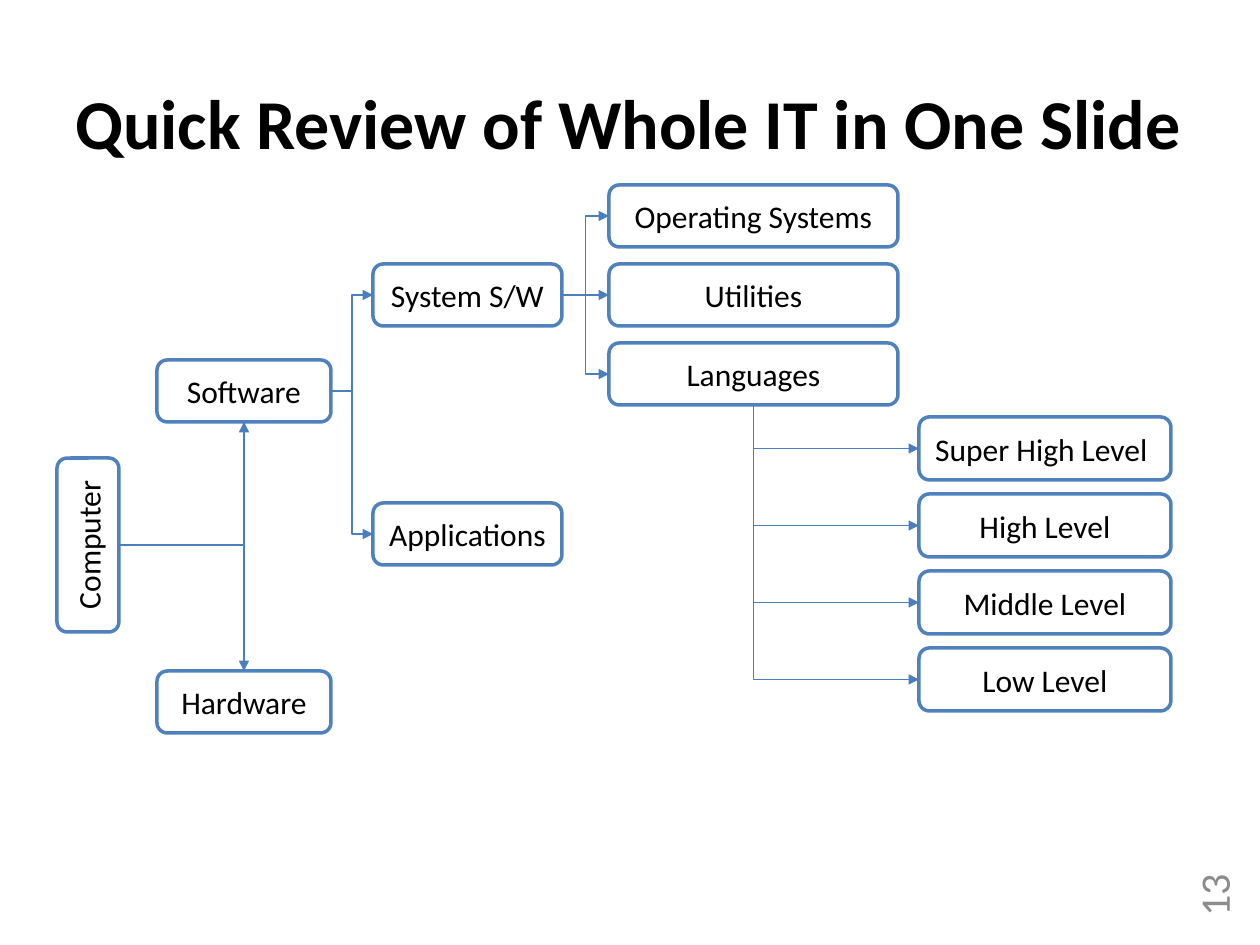
from dataclasses import dataclass

from lxml.etree import SubElement
from pptx import Presentation
from pptx.dml.color import RGBColor
from pptx.enum.shapes import MSO_CONNECTOR, MSO_SHAPE
from pptx.enum.text import MSO_ANCHOR, MSO_AUTO_SIZE, PP_ALIGN
from pptx.oxml.ns import qn
from pptx.util import Emu, Pt

PX_PER_INCH = 126
FONT = "Calibri"
BLACK, WHITE, GREY = "000000", "FFFFFF", "8C8C8C"
BOX_BLUE, ARROW_BLUE = "4F81BD", "4B7EBC"
Point = tuple[float, float]


@dataclass(frozen=True)
class Node:
    label: str
    left: int
    top: int
    width: int
    height: int = 62
    rotation: int = 0

    @property
    def center(self) -> Point:
        return self.left + self.width / 2, self.top + self.height / 2

    def side(self, dx: int, dy: int) -> Point:
        """Middle of the side that lies in direction (dx, dy) as seen."""
        width, height = self.width, self.height
        if self.rotation:
            width, height = height, width
        x, y = self.center
        return x + dx * width / 2, y + dy * height / 2


def px(length: float) -> Emu:
    return Emu(round(length * 914400 / PX_PER_INCH))


def color(hex_value: str) -> RGBColor:
    return RGBColor.from_string(hex_value)


def write(frame, text: str, size: int, hex_value: str, align: PP_ALIGN, bold: bool = False) -> None:
    paragraph = frame.paragraphs[0]
    paragraph.alignment = align
    run = paragraph.add_run()
    run.text = text
    run.font.name = FONT
    run.font.size = Pt(size)
    run.font.bold = bold
    run.font.color.rgb = color(hex_value)


def draw_node(slide, node: Node) -> None:
    box = slide.shapes.add_shape(MSO_SHAPE.ROUNDED_RECTANGLE, px(node.left), px(node.top),
                                 px(node.width), px(node.height))
    box.rotation = node.rotation
    box.shadow.inherit = False
    box.fill.solid()
    box.fill.fore_color.rgb = color(WHITE)
    box.line.color.rgb = color(BOX_BLUE)
    box.line.width = Pt(2)
    box.text_frame.vertical_anchor = MSO_ANCHOR.MIDDLE
    write(box.text_frame, node.label, 18, BLACK, PP_ALIGN.CENTER)


def draw_arrow(slide, start: Point, end: Point, kind: MSO_CONNECTOR = MSO_CONNECTOR.ELBOW):
    arrow = slide.shapes.add_connector(kind, *map(px, start + end))
    arrow.line.color.rgb = color(ARROW_BLUE)
    arrow.line.width = Pt(0.75)
    outline = arrow.line._get_or_add_ln()
    SubElement(outline, qn("a:tailEnd"), type="triangle")
    SubElement(arrow._element.spPr, qn("a:effectLst"))
    return arrow


def draw_corner(slide, start: Point, end: Point, down_first: bool = False) -> None:
    """Arrow with a single bend; down_first turns it to leave vertically."""
    if down_first:
        x, y = (start[0] + end[0]) / 2, (start[1] + end[1]) / 2
        half_run, half_drop = (end[0] - start[0]) / 2, (end[1] - start[1]) / 2
        start, end = (x + half_drop, y - half_run), (x - half_drop, y + half_run)
    properties = draw_arrow(slide, start, end)._element.spPr
    properties.find(qn("a:prstGeom")).set("prst", "bentConnector2")
    if down_first:
        properties.find(qn("a:xfrm")).set("rot", str(270 * 60000))


def column(labels: list[str], left: int, top: int, width: int, height: int, step: int) -> list[Node]:
    return [Node(label, left, top + i * step, width, height) for i, label in enumerate(labels)]


def main() -> None:
    presentation = Presentation()
    presentation.slide_width, presentation.slide_height = px(1260), px(945)
    slide = presentation.slides.add_slide(presentation.slide_layouts[6])

    # Page number, reading upwards
    number = slide.shapes.add_textbox(px(1171), px(877), px(84), px(53))
    number.rotation = 270
    number.text_frame.word_wrap = True
    number.text_frame.vertical_anchor = MSO_ANCHOR.MIDDLE
    write(number.text_frame, "13", 24, GREY, PP_ALIGN.RIGHT)

    # Title
    title = slide.shapes.add_textbox(px(63), px(73), px(1144), px(97))
    title.text_frame.word_wrap = True
    title.text_frame.auto_size = MSO_AUTO_SIZE.SHAPE_TO_FIT_TEXT
    write(title.text_frame, "Quick Review of Whole IT in One Slide", 40, BLACK, PP_ALIGN.LEFT, bold=True)

    # Boxes of the tree
    computer = Node("Computer", 1, 514, 174, rotation=270)
    software = Node("Software", 157, 360, 174)
    hardware = Node("Hardware", 157, 671, 174)
    system = Node("System S/W", 373, 264, 189)
    applications = Node("Applications", 373, 503, 189)
    system_kinds = column(["Operating Systems", "Utilities", "Languages"], 609, 185, 289, 62, 79)
    operating_systems, utilities, languages = system_kinds
    levels = column(["Super High Level ", "High Level", "Middle Level", "Low Level"],
                    919, 417, 252, 63, 77)
    for node in [computer, software, hardware, system, applications, *system_kinds, *levels]:
        draw_node(slide, node)

    # Languages to their levels
    for level in levels:
        draw_corner(slide, languages.side(0, 1), level.side(-1, 0), down_first=True)

    # Software and system software to their kinds
    for parent, child in [(software, system), (software, applications),
                          (system, operating_systems), (system, languages)]:
        draw_arrow(slide, parent.side(1, 0), child.side(-1, 0))
    draw_arrow(slide, system.side(1, 0), utilities.side(-1, 0), MSO_CONNECTOR.STRAIGHT)

    # Computer to software and hardware
    draw_corner(slide, computer.side(1, 0), software.side(0, 1))
    draw_corner(slide, computer.side(1, 0), hardware.side(0, -1))

    presentation.save("out.pptx")


if __name__ == "__main__":
    main()
